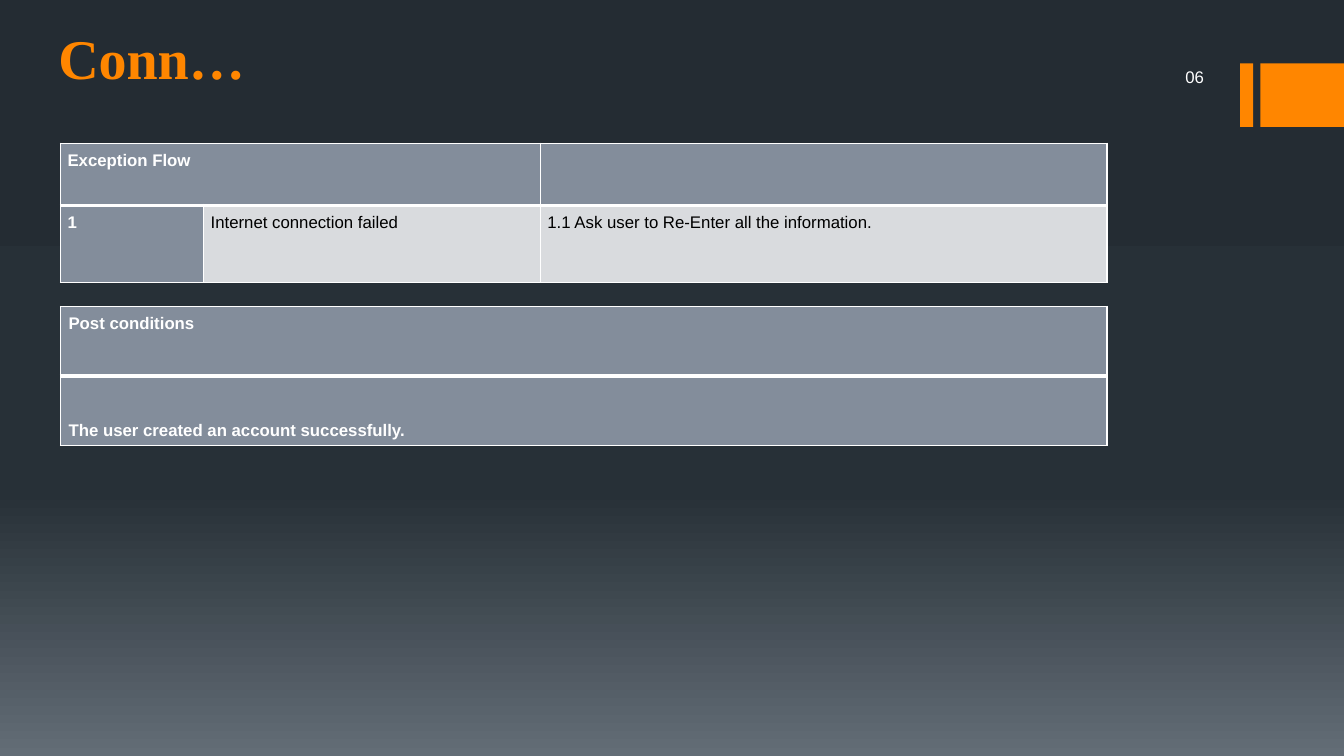
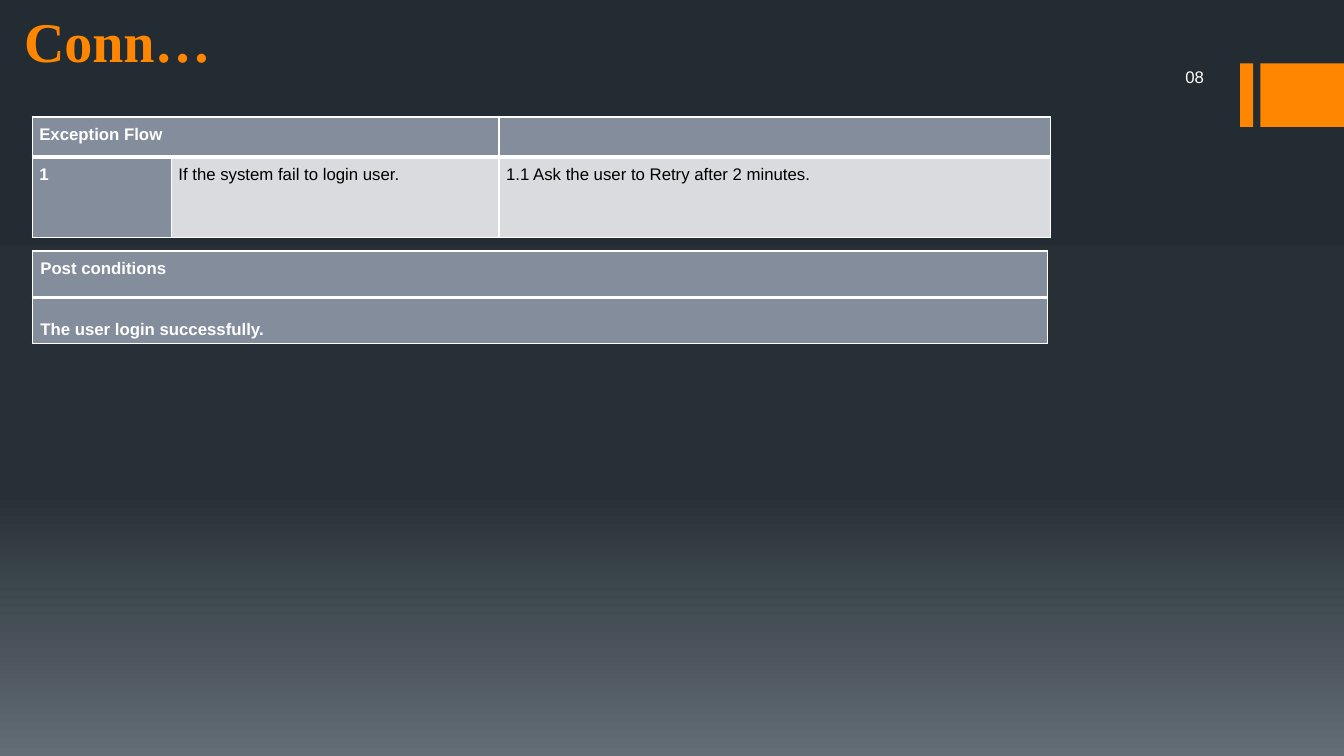
from copy import deepcopy
from dataclasses import dataclass

from lxml import etree
from pptx import Presentation
from pptx.dml.color import RGBColor
from pptx.enum.shapes import MSO_SHAPE
from pptx.enum.text import MSO_ANCHOR, PP_ALIGN
from pptx.oxml.ns import qn
from pptx.util import Inches, Pt

RECT = MSO_SHAPE.RECTANGLE
TOP, MIDDLE, BOTTOM = MSO_ANCHOR.TOP, MSO_ANCHOR.MIDDLE, MSO_ANCHOR.BOTTOM
LEFT, RIGHT = PP_ALIGN.LEFT, PP_ALIGN.RIGHT

ORANGE = RGBColor(0xFF, 0x86, 0x00)
WHITE = RGBColor(0xFF, 0xFF, 0xFF)
BLACK = RGBColor(0x00, 0x00, 0x00)
SLATE = RGBColor(0x83, 0x8D, 0x9B)
PALE = RGBColor(0xD9, 0xDB, 0xDE)
BACKGROUND = (
    (0, RGBColor(0x24, 0x2C, 0x33)),
    (0.65, RGBColor(0x27, 0x30, 0x37)),
    (1, RGBColor(0x63, 0x6D, 0x76)),
)
TITLE_FONT, BODY_FONT = "Times New Roman", "Arial"
THIN, THICK = 1, 3


@dataclass
class Box:
    left: float
    top: float
    width: float
    height: float

    def lengths(self) -> list:
        return [Inches(v) for v in (self.left, self.top, self.width, self.height)]


@dataclass
class Grid:
    left: float
    top: float
    cols: tuple
    rows: tuple


@dataclass
class UseCaseEnd:
    number: str
    title_box: Box
    flow_grid: Grid
    failure: str
    response: str
    post_grid: Grid
    outcome: str


BARS = (Box(12.3, 0.63, 0.13, 0.63), Box(12.5, 0.63, 0.84, 0.63))
NUMBER_BOX = Box(10.67, 0.6, 1.37, 0.33)

SLIDES = (
    UseCaseEnd(
        "06", Box(0.48, 0.51, 10.67, 0.42),
        Grid(0.6, 1.42, (1.42, 3.34, 5.62), (0.62, 0.76)),
        "Internet connection failed",
        "1.1 Ask user to Re-Enter all the information.",
        Grid(0.6, 3.04, (10.38,), (0.69, 0.69)),
        "The user created an account successfully.",
    ),
    UseCaseEnd(
        "08", Box(0.14, 0.12, 10.67, 0.64),
        Grid(0.32, 1.16, (1.38, 3.25, 5.47), (0.4, 0.8)),
        "If the system fail to login user.",
        "1.1 Ask the user to Retry after 2 minutes.",
        Grid(0.32, 2.49, (10.07,), (0.46, 0.46)),
        "The user login successfully.",
    ),
)


def set_background(master) -> None:
    """Give every slide the three-stop vertical gradient."""
    fill = master.background.fill
    fill.gradient()
    fill.gradient_angle = 270
    stops = master.element.find(".//" + qn("a:gsLst"))
    stops.append(deepcopy(stops[-1]))
    for stop, (position, color) in zip(fill.gradient_stops, BACKGROUND):
        stop.position = position
        stop.color.rgb = color


def style_text(p, size: float, font: str, color: RGBColor, bold: bool) -> None:
    for r in p.runs:
        r.font.size = Pt(size)
        r.font.name = font
        r.font.color.rgb = color
        r.font.bold = bold


def add_text(s, box: Box, text: str, size: float, font: str, color: RGBColor,
             bold: bool, anchor, align):
    tf = s.shapes.add_textbox(*box.lengths()).text_frame
    tf.word_wrap = True
    tf.vertical_anchor = anchor
    p = tf.paragraphs[0]
    p.text = text
    p.alignment = align
    style_text(p, size, font, color, bold)
    return tf


def add_frame(s, title_box: Box, number: str) -> None:
    """Draw the side bars, the title and the slide number."""
    for bar in BARS:
        sp = s.shapes.add_shape(RECT, *bar.lengths())
        sp.shadow.inherit = False
        sp.fill.solid()
        sp.fill.fore_color.rgb = ORANGE
        sp.line.fill.background()
    tf = add_text(s, title_box, "Conn…", 40, TITLE_FONT, ORANGE, True, BOTTOM, LEFT)
    tf.margin_bottom = Inches(0.03)
    add_text(s, NUMBER_BOX, number, 12, BODY_FONT, WHITE, False, MIDDLE, RIGHT)


def set_borders(cell, top: float, bottom: float) -> None:
    tc_pr = cell._tc.get_or_add_tcPr()
    for side, width in (("L", THIN), ("R", THIN), ("T", top), ("B", bottom)):
        ln = etree.SubElement(tc_pr, qn("a:ln" + side), w=str(Pt(width)))
        fill = etree.SubElement(ln, qn("a:solidFill"))
        etree.SubElement(fill, qn("a:srgbClr"), val=str(WHITE))


def add_grid(s, grid: Grid, texts: tuple, margins: tuple):
    """Draw a table whose first row and first column are headers."""
    box = Box(grid.left, grid.top, sum(grid.cols), sum(grid.rows))
    table = s.shapes.add_table(len(grid.rows), len(grid.cols), *box.lengths()).table
    table.first_row = table.horz_banding = False
    for column, width in zip(table.columns, grid.cols):
        column.width = Inches(width)
    for i, (row, height) in enumerate(zip(table.rows, grid.rows)):
        row.height = Inches(height)
        for j, cell in enumerate(row.cells):
            header = i == 0 or j == 0
            set_borders(cell, THICK if i else THIN, THIN if i else THICK)
            cell.fill.solid()
            cell.fill.fore_color.rgb = SLATE if header else PALE
            (cell.margin_left, cell.margin_top,
             cell.margin_right, cell.margin_bottom) = map(Inches, margins)
            p = cell.text_frame.paragraphs[0]
            p.text = texts[i][j]
            p.line_spacing = 1.15
            style_text(p, 12, BODY_FONT, WHITE if header else BLACK, header)
    return table


def add_use_case_end(prs, case: UseCaseEnd) -> None:
    s = prs.slides.add_slide(prs.slide_layouts[6])
    add_frame(s, case.title_box, case.number)

    # Exception flow
    flow = add_grid(
        s, case.flow_grid,
        (("Exception Flow", "", ""), ("1", case.failure, case.response)),
        (0.07, 0.05, 0.08, 0),
    )
    flow.cell(0, 0).merge(flow.cell(0, 1))

    # Post conditions
    post = add_grid(
        s, case.post_grid, (("Post conditions",), (case.outcome,)),
        (0.08, 0.05, 0.08, 0.05),
    )
    post.cell(0, 0).vertical_anchor = TOP
    post.cell(1, 0).vertical_anchor = BOTTOM


def main() -> None:
    prs = Presentation()
    prs.slide_width, prs.slide_height = Inches(13.33), Inches(7.5)
    set_background(prs.slide_master)
    for case in SLIDES:
        add_use_case_end(prs, case)
    prs.save("out.pptx")


if __name__ == "__main__":
    main()
